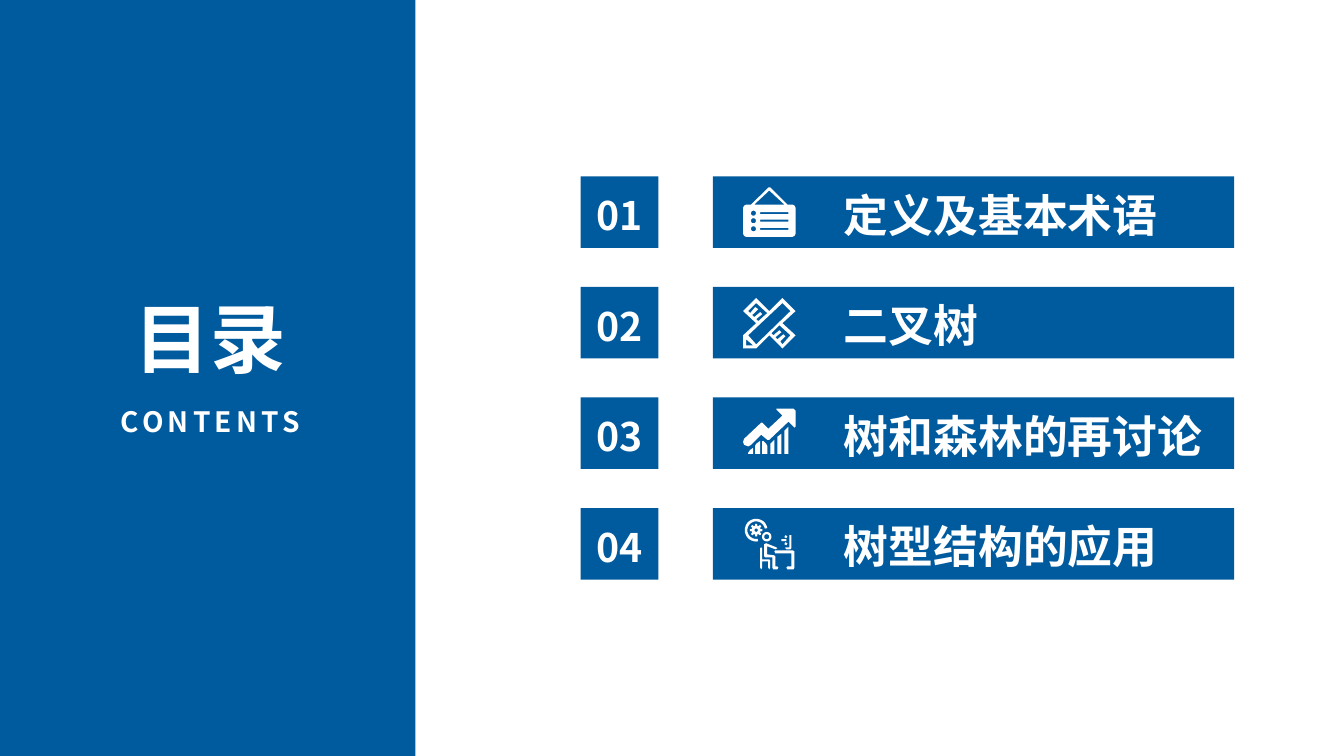
"""Build the contents slide: a blue title panel and four numbered section bars."""
from math import cos, radians, sin

from pptx import Presentation
from pptx.dml.color import RGBColor
from pptx.enum.shapes import MSO_SHAPE
from pptx.enum.text import MSO_ANCHOR, MSO_AUTO_SIZE, PP_ALIGN
from pptx.oxml.ns import qn
from pptx.util import Inches, Pt

BLUE = RGBColor(0x00, 0x5A, 0x9E)
WHITE = RGBColor(0xFF, 0xFF, 0xFF)
FONT = "Noto Sans CJK SC"
RECT = MSO_SHAPE.RECTANGLE
MIDDLE, TOP = MSO_ANCHOR.MIDDLE, MSO_ANCHOR.TOP
LEFT, CENTER = PP_ALIGN.LEFT, PP_ALIGN.CENTER
GROW = MSO_AUTO_SIZE.SHAPE_TO_FIT_TEXT


def arc(cx, cy, radius, start=0, end=360, steps=24):
    angles = [radians(start + (end - start) * k / steps) for k in range(steps + 1)]
    return [(cx + radius * cos(a), cy + radius * sin(a)) for a in angles]


def write(sp, text, size, align, anchor=TOP):
    tf = sp.text_frame
    tf.word_wrap = True
    tf.auto_size = GROW
    tf.vertical_anchor = anchor
    p = tf.paragraphs[0]
    p.alignment = align
    r = p.add_run()
    r.text = text
    r.font.size = Pt(size)
    r.font.bold = True
    r.font.color.rgb = WHITE
    r.font.name = FONT
    r.font._element.get_or_add_latin().addnext(
        r.font._element.makeelement(qn("a:ea"), {"typeface": FONT}))
    return p, r


sign = [
    [(49, 17), (44, 17), (27, 0), (25, 0), (8, 17), (3, 17), (1, 18), (0, 20), (0, 46),
     (1, 48), (3, 49), (49, 49), (51, 48), (52, 46), (52, 20), (51, 18)],
    [(26, 3), (41, 17), (11, 17)],
]
for y in (25.5, 33, 41):
    sign += [arc(10.3, y, 2.5), [(17, y - 1), (45, y - 1), (45, y + 1), (17, y + 1)]]

pencil_and_ruler = [
    [(52, 13), (39, 0), (26, 13), (13, 0), (0, 13), (13, 25), (0, 37), (0, 50), (13, 50),
     (26, 37), (39, 50), (52, 37), (39, 25)],
    [(13, 21), (19, 16), (17, 14), (11, 19), (9, 17), (15, 11), (12, 9), (7, 15), (5, 13),
     (13, 5), (24, 15), (15, 23)],
    [(3, 47), (3, 41), (10, 47)],
    [(13, 46), (5, 37), (39, 5), (47, 13)],
    [(47, 37), (39, 46), (37, 43), (42, 38), (40, 36), (34, 41), (32, 39), (38, 34), (36, 32),
     (30, 37), (28, 35), (36, 27)],
]

growth = [
    [(33, 0), (50, 0), (52, 2), (52, 18), (51, 19), (45, 13), (26, 31), (24, 31), (18, 26),
     (8, 36), (5, 37.5), (1, 36), (0, 33), (1, 30), (18, 14), (19, 14), (25, 20), (39, 7),
     (33, 1)],
    [(10, 39), (10, 45), (5, 45), (5, 44), (7, 41)],
    [(17, 32), (17, 45), (12, 45), (12, 37), (13, 35)],
    [(20, 32), (23, 35), (24, 37), (24, 45), (19, 45), (19, 32.5)],
]
for x, y, low in ((27, 31, 35), (34, 25, 28), (41, 18, 22)):
    growth.append([(x + 4, y), (x + 4, 45), (x, 45), (x, low)])

gear = []
for tooth in range(8):
    gear += arc(13, 11, 6.3, tooth * 45 - 9, tooth * 45 + 9, 2)
    gear += arc(13, 11, 4.3, tooth * 45 + 16, tooth * 45 + 29, 2)
desk_worker = [
    arc(13, 11, 11.3, 80, 350) + arc(13, 11, 8.7, 350, 80),
    gear, arc(13, 11, 1.7),
    arc(23.5, 17.5, 4.7), arc(23.5, 17.5, 2.5),
    [(42, 28), (46, 28), (46, 16), (48, 16), (48, 29), (47, 30), (43, 30), (42, 29)],
    [(38, 20), (43, 20), (43, 22), (38, 22)],
    [(42, 16), (44, 17), (43, 19), (41, 18)],
    [(42, 23), (44, 24), (43, 26), (41, 25)],
    [(34, 47), (32, 47), (32, 37), (31, 36), (24, 35), (24, 27), (32, 30), (34, 29), (33, 28),
     (23, 24), (21, 25), (21, 37), (22, 38), (29, 38), (29, 48), (30, 50), (34, 50), (35, 48)],
    [(49, 31), (32, 31), (31, 32), (32, 34), (48, 34), (48, 47), (44, 47), (43, 48), (44, 50),
     (50, 50), (51, 48), (51, 32)],
    [(26, 40), (19, 40), (19, 29), (18, 28), (17, 29), (17, 48), (18, 50), (19, 48), (19, 42),
     (25, 42), (25, 48), (26, 50), (27, 48), (27, 41)],
]

prs = Presentation()
prs.slide_width, prs.slide_height = Inches(13.33), Inches(7.5)
s = prs.slides.add_slide(prs.slide_layouts[5])

panel = s.shapes.add_shape(RECT, 0, 0, Inches(4.12), Inches(7.5))
title = s.shapes.title
panel.element.addnext(title.element)
title.left, title.top = Inches(1.06), Inches(2.99)
title.width, title.height = Inches(2.05), Inches(0.83)
tf = title.text_frame
tf.margin_left = tf.margin_right = tf.margin_top = tf.margin_bottom = 0
p, r = write(title, "目录", 54, CENTER, MIDDLE)
p.line_spacing = 0.9

subtitle = s.shapes.add_textbox(Inches(0.59), Inches(3.96), Inches(2.99), Inches(0.44))
p, r = write(subtitle, "CONTENTS", 20, CENTER)
r.font._element.set("spc", "300")

blocks = [(panel, BLUE)]
sections = [
    ("定义及基本术语", 3.68, 0.37, sign),
    ("二叉树", 2.9, 0.6, pencil_and_ruler),
    ("树和森林的再讨论", 4.08, 0.37, growth),
    ("树型结构的应用", 3.61, 0.64, desk_worker),
]
for i, (name, width, height, icon) in enumerate(sections):
    top = 1.75 + i * 3.29 / 3
    for left, block_width in ((5.76, 0.77), (7.07, 5.17)):
        block = s.shapes.add_shape(RECT, Inches(left), Inches(top),
                                   Inches(block_width), Inches(0.71))
        blocks.append((block, BLUE))

    number = s.shapes.add_textbox(Inches(5.53), Inches(top + 0.1), Inches(1.23), Inches(0.57))
    write(number, f"{i + 1:02d}", 28, CENTER)
    label = s.shapes.add_textbox(Inches(8.27), Inches(top + 0.06), Inches(width), Inches(height))
    write(label, name, 32, LEFT)

    outlines = [[(x * 10, y * 10) for x, y in outline] for outline in icon]
    builder = s.shapes.build_freeform(*outlines[0][0], scale=Inches(1) / 1000)
    builder.add_line_segments(outlines[0][1:], close=True)
    for outline in outlines[1:]:
        builder.move_to(*outline[0])
        builder.add_line_segments(outline[1:], close=True)
    blocks.append((builder.convert_to_shape(Inches(7.37), Inches(top + 0.11)), WHITE))

for block, color in blocks:
    block.shadow.inherit = False
    block.fill.solid()
    block.fill.fore_color.rgb = color
    block.line.fill.background()

prs.save("out.pptx")
